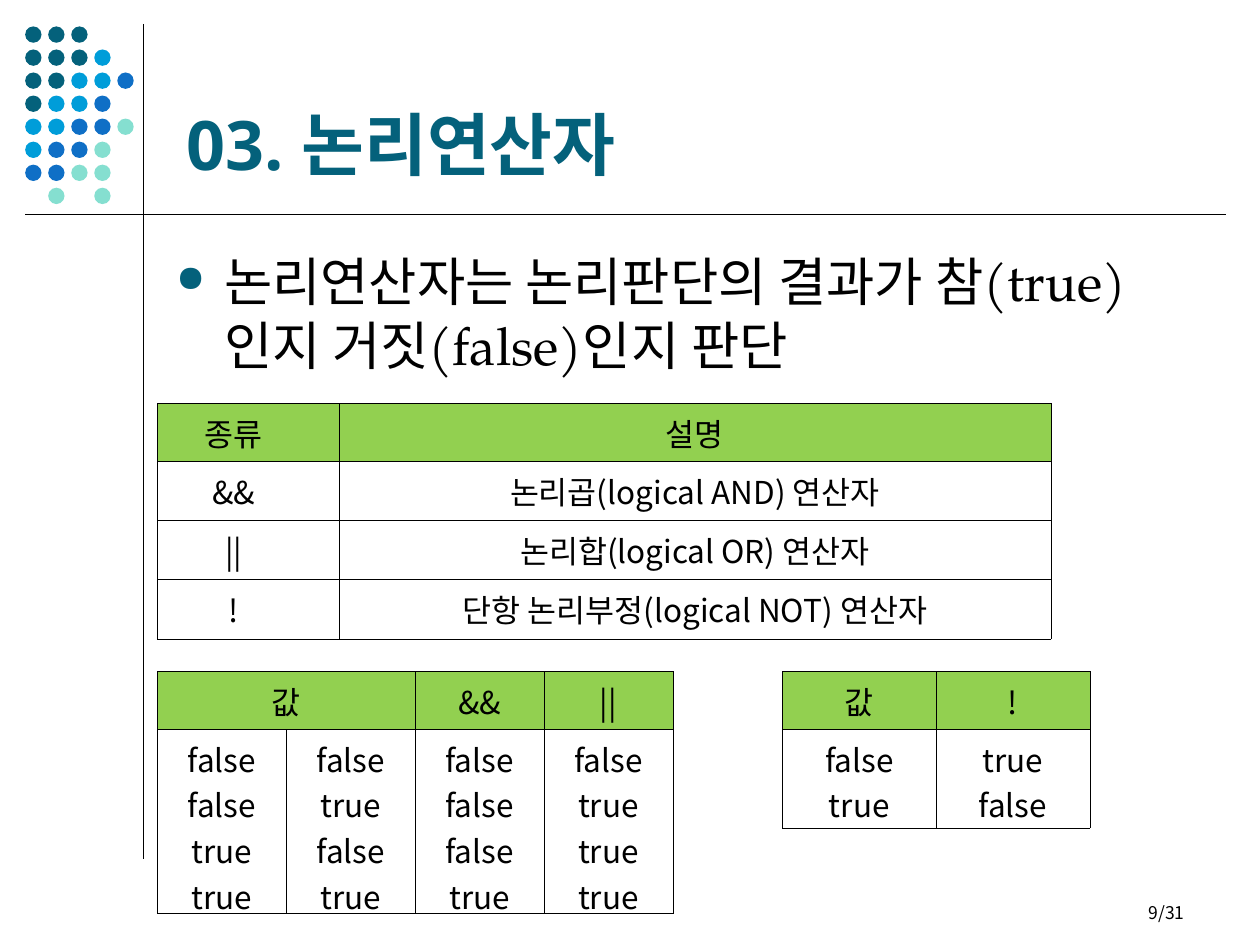
from dataclasses import dataclass

from lxml import etree
from pptx import Presentation
from pptx.dml.color import RGBColor
from pptx.enum import shapes, text
from pptx.oxml import ns
from pptx.util import Inches, Pt


@dataclass(frozen=True)
class Theme:
    ink: str = "000000"
    paper: str = "FFFFFF"
    teal: str = "04617B"
    sky: str = "009DD9"
    blue: str = "0F6FC6"
    mint: str = "85DFD0"
    header: str = "92D050"
    title_font: str = "Noto Sans"
    body_font: str = "TeX Gyre Pagella"
    korean_font: str = "Noto Sans CJK KR"
    title_size: float = 39
    body_size: float = 30
    table_size: float = 18
    number_size: float = 10
    rule: float = 0.75
    border: float = 0.06


def add_xml(parent, tag, **attrs):
    return etree.SubElement(parent, ns.qn(tag), attrs)


def write(tf, content, font, size, color, bold=False, align=text.PP_ALIGN.LEFT):
    """Fill a text frame, one paragraph for each line of content."""
    for i, line in enumerate(content.split("\n")):
        p = tf.add_paragraph() if i else tf.paragraphs[0]
        p.alignment = align
        r = p.add_run()
        r.text = line
        r.font.name, r.font.size, r.font.bold = font, Pt(size), bold
        r.font.color.rgb = RGBColor.from_string(color)
        add_xml(r.font._element, "a:ea", typeface=Theme.korean_font)


class SlideBuilder:
    def __init__(self, slide, theme):
        self.s, self.theme = slide, theme

    def line(self, x1, y1, x2, y2):
        sp = self.s.shapes.add_connector(
            shapes.MSO_CONNECTOR.STRAIGHT,
            Inches(x1), Inches(y1), Inches(x2), Inches(y2))
        sp.line.color.rgb = RGBColor.from_string(self.theme.ink)
        sp.line.width = Pt(self.theme.rule)
        add_xml(sp._element.spPr, "a:effectLst")

    def dot(self, x, y, size, color):
        sp = self.s.shapes.add_shape(
            shapes.MSO_SHAPE.OVAL, Inches(x), Inches(y), Inches(size), Inches(size))
        sp.shadow.inherit = False
        sp.fill.solid()
        sp.fill.fore_color.rgb = RGBColor.from_string(color)
        sp.line.fill.background()

    def text(self, x, y, w, h, content, font, size, color=Theme.ink,
             anchor=text.MSO_ANCHOR.TOP, top=0.05, bottom=0.05, **style):
        sp = self.s.shapes.add_textbox(Inches(x), Inches(y), Inches(w), Inches(h))
        tf = sp.text_frame
        tf.word_wrap = True
        tf.vertical_anchor = anchor
        tf.margin_top, tf.margin_bottom = Inches(top), Inches(bottom)
        write(tf, content, font, size, color, **style)
        return tf

    def bullet(self, p, indent):
        pPr = p._p.get_or_add_pPr()
        pPr.set("marL", str(Inches(indent)))
        pPr.set("indent", str(-Inches(indent)))
        add_xml(add_xml(pPr, "a:buClr"), "a:srgbClr", val=self.theme.teal)
        add_xml(pPr, "a:buSzPct", val="70000")
        add_xml(pPr, "a:buChar", char="●")

    def borders(self, cell):
        tcPr = cell._tc.get_or_add_tcPr()
        for i, side in enumerate(("L", "R", "T", "B")):
            ln = etree.Element(ns.qn(f"a:ln{side}"), w=str(Pt(self.theme.border)))
            add_xml(add_xml(ln, "a:solidFill"), "a:srgbClr", val=self.theme.ink)
            tcPr.insert(i, ln)

    def table(self, x, y, cols, rows, cells, first_col_right=0.1):
        """Draw a grid with a coloured header row; None continues a merged cell."""
        t = self.theme
        table = self.s.shapes.add_table(
            len(rows), len(cols), Inches(x), Inches(y),
            Inches(sum(cols)), Inches(sum(rows))).table
        for col, width in zip(table.columns, cols):
            col.width = Inches(width)
        for row, height in zip(table.rows, rows):
            row.height = Inches(height)
        for i, values in enumerate(cells):
            for j, value in enumerate(values):
                cell = table.cell(i, j)
                cell.fill.solid()
                cell.fill.fore_color.rgb = RGBColor.from_string(
                    t.paper if i else t.header)
                cell.vertical_anchor = text.MSO_ANCHOR.MIDDLE
                self.borders(cell)
                if value is None:
                    table.cell(i, j - 1).merge(cell)
                    continue
                if j == 0:
                    cell.margin_right = Inches(first_col_right)
                write(cell.text_frame, value, t.korean_font, t.table_size, t.ink,
                      align=text.PP_ALIGN.CENTER)


def main():
    prs = Presentation()
    prs.slide_width, prs.slide_height = Inches(10), Inches(7.5)
    t = Theme()
    b = SlideBuilder(prs.slides.add_slide(prs.slide_layouts[6]), t)

    # Frame lines and dot pattern
    b.line(1.14, 0.19, 1.14, 6.82)
    colors = {"t": t.teal, "s": t.sky, "b": t.blue, "m": t.mint}
    pattern = ["ttt", "ttts", "ttssb", "tssb", "ssbbm", "sbbm", "bbmm", " m m"]
    pitch = 1.28 / 7
    for i, row in enumerate(pattern):
        for j, key in enumerate(row):
            if key in colors:
                b.dot(0.2 + j * pitch, 0.21 + i * pitch, 0.13, colors[key])
    b.line(0.2, 1.7, 9.73, 1.7)

    # Title and statement
    b.text(1.38, 0.21, 8.25, 1.26, "03. 논리연산자", t.title_font, t.title_size,
           t.teal, anchor=text.MSO_ANCHOR.BOTTOM, bottom=0.01, bold=True)
    tf = b.text(1.3, 1.88, 8.2, 4.82,
                "논리연산자는 논리판단의 결과가 참(true)인지 거짓(false)인지 판단",
                t.body_font, t.body_size, top=0.09)
    b.bullet(tf.paragraphs[0], 0.38)
    tf.paragraphs[0].line_spacing = Pt(36.5)

    # Operators
    b.table(1.25, 3.2, [1.44, 5.65], [0.46] + [0.47] * 3, [
        ["종류", "설명"],
        ["&&", "논리곱(logical AND) 연산자"],
        ["||", "논리합(logical OR) 연산자"],
        ["!", "단항 논리부정(logical NOT) 연산자"],
    ], first_col_right=0.33)

    # Truth tables
    b.table(1.25, 5.33, [4.09 / 4] * 4, [0.46, 1.46], [
        ["값", None, "&&", "||"],
        ["false\nfalse\ntrue\ntrue", "false\ntrue\nfalse\ntrue",
         "false\nfalse\nfalse\ntrue", "false\ntrue\ntrue\ntrue"],
    ])
    b.table(6.21, 5.33, [1.22] * 2, [0.46, 0.78], [
        ["값", "!"],
        ["false\ntrue", "true\nfalse"],
    ])

    # Page number
    b.text(7.17, 7.11, 2.33, 0.22, "9/31", t.korean_font, t.number_size,
           align=text.PP_ALIGN.RIGHT)
    prs.save("out.pptx")


if __name__ == "__main__":
    main()
